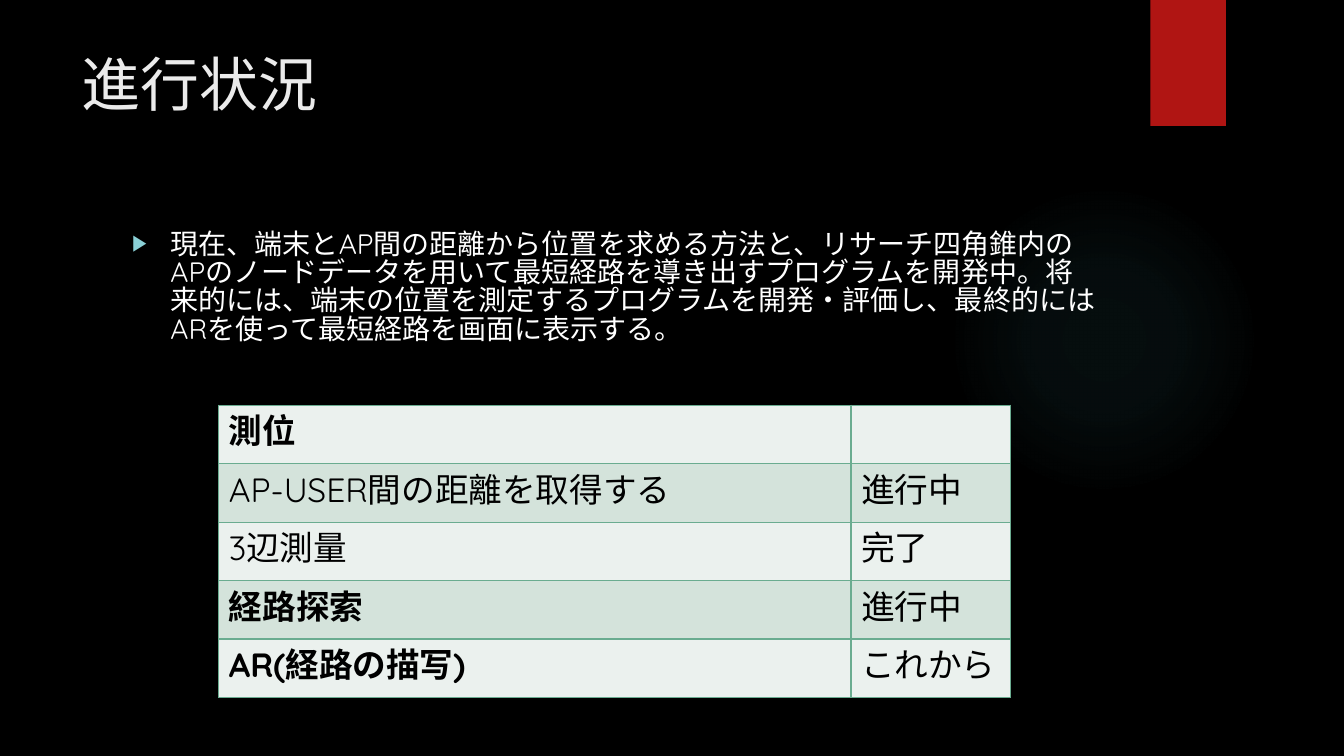
from lxml import etree
from pptx import Presentation
from pptx.dml.color import RGBColor
from pptx.enum.shapes import MSO_SHAPE as Shape
from pptx.enum.text import MSO_ANCHOR as Anchor, MSO_AUTO_SIZE as AutoSize, PP_ALIGN as Align
from pptx.oxml import parse_xml
from pptx.oxml.ns import nsdecls, qn
from pptx.util import Inches, Pt

FONT = "Quicksand"
BORDER = "6AAC90"
BANDS = ["EBF1EE", "D4E3DB"]


def color(hex_string):
    return RGBColor.from_string(hex_string)


def add_run(paragraph, text, size, hex_string, bold=False):
    run = paragraph.add_run()
    run.text = text
    run.font.name = FONT
    run.font.size = Pt(size)
    run.font.bold = bold
    run.font.color.rgb = color(hex_string)
    etree.SubElement(run.font._element, qn("a:ea")).set("typeface", FONT)


presentation = Presentation()
presentation.slide_width = Inches(13.33)
presentation.slide_height = Inches(7.5)
slide = presentation.slides.add_slide(presentation.slide_layouts[1])
slide.background.fill.solid()
slide.background.fill.fore_color.rgb = color("000000")
shapes = slide.shapes

# Backdrop: soft glow and red ribbon, behind the text
glow = shapes.add_shape(Shape.OVAL, Inches(9.41), Inches(1.83), Inches(3.08), Inches(3.08))
ribbon = shapes.add_shape(Shape.RECTANGLE, Inches(11.41), 0, Inches(0.75), Inches(1.25))
for layer, shape in enumerate([glow, ribbon]):
    shape.shadow.inherit = False
    shape.line.fill.background()
    shapes._spTree.insert(2 + layer, shape._element)
ribbon.fill.solid()
ribbon.fill.fore_color.rgb = color("B01513")

stops = "".join(
    f'<a:gs pos="{position * 1000}"><a:srgbClr val="50B9C1">'
    f'<a:alpha val="{alpha * 1000}"/></a:srgbClr></a:gs>'
    for position, alpha in [(0, 7), (36, 6), (69, 0)]
)
glow._element.spPr.find(qn("a:prstGeom")).addnext(parse_xml(
    f'<a:gradFill {nsdecls("a")}><a:gsLst>{stops}</a:gsLst><a:path path="circle">'
    '<a:fillToRect l="50000" t="50000" r="50000" b="50000"/></a:path></a:gradFill>'
))

# Title and body placeholders
title, body = shapes.title, slide.placeholders[1]
for placeholder, box, spacing in [
    (title, (0.71, 0.5, 10.29, 1.53), 0.9),
    (body, (1.21, 2.25, 9.78, 4.59), 0.84),
]:
    placeholder.left, placeholder.top, placeholder.width, placeholder.height = map(Inches, box)
    frame = placeholder.text_frame
    frame.word_wrap = True
    frame.auto_size = AutoSize.NONE
    frame.vertical_anchor = Anchor.TOP
    paragraph = frame.paragraphs[0]
    paragraph.alignment = Align.LEFT
    paragraph.line_spacing = spacing

add_run(title.text_frame.paragraphs[0], "進行状況", 42, "EBEBEB")

summary = body.text_frame.paragraphs[0]
summary.space_before = Pt(10)
add_run(
    summary,
    "現在、端末とAP間の距離から位置を求める方法と、リサーチ四角錐内の"
    "APのノードデータを用いて最短経路を導き出すプログラムを開発中。"
    "将来的には、端末の位置を測定するプログラムを開発・評価し、"
    "最終的にはARを使って最短経路を画面に表示する。",
    20, "FFFFFF",
)
properties = summary._p.get_or_add_pPr()
properties.set("marL", str(Inches(0.38)))
properties.set("indent", str(-Inches(0.38)))
for bullet in [
    f'<a:buClr {nsdecls("a")}><a:srgbClr val="8AD0D6"/></a:buClr>',
    f'<a:buSzPct {nsdecls("a")} val="80000"/>',
    f'<a:buChar {nsdecls("a")} char="▶"/>',
]:
    properties.append(parse_xml(bullet))

# Progress table: task, status, bold task
tasks = [
    ("測位", "", True),
    ("AP-USER間の距離を取得する", "進行中", False),
    ("3辺測量", "完了", False),
    ("経路探索", "進行中", True),
    ("AR(経路の描写)", "これから", True),
]
row_height = Inches(0.58)
table = shapes.add_table(
    len(tasks), 2, Inches(2.17), Inches(4.02), Inches(7.85), row_height * len(tasks)
).table
table.first_row = table.horz_banding = False
table.columns[0].width = Inches(6.27)
table.columns[1].width = Inches(1.58)

for row, (task, status, bold) in enumerate(tasks):
    table.rows[row].height = row_height
    for column, (text, is_bold) in enumerate([(task, bold), (status, False)]):
        cell = table.cell(row, column)
        cell.fill.solid()
        cell.fill.fore_color.rgb = color(BANDS[row % 2])
        if text:
            add_run(cell.text_frame.paragraphs[0], text, 24, "000000", is_bold)
        for index, side in enumerate(["lnL", "lnR", "lnT", "lnB"]):
            cell._tc.get_or_add_tcPr().insert(index, parse_xml(
                f'<a:{side} {nsdecls("a")} w="{Pt(1)}"><a:solidFill>'
                f'<a:srgbClr val="{BORDER}"/></a:solidFill></a:{side}>'
            ))

presentation.save("out.pptx")
